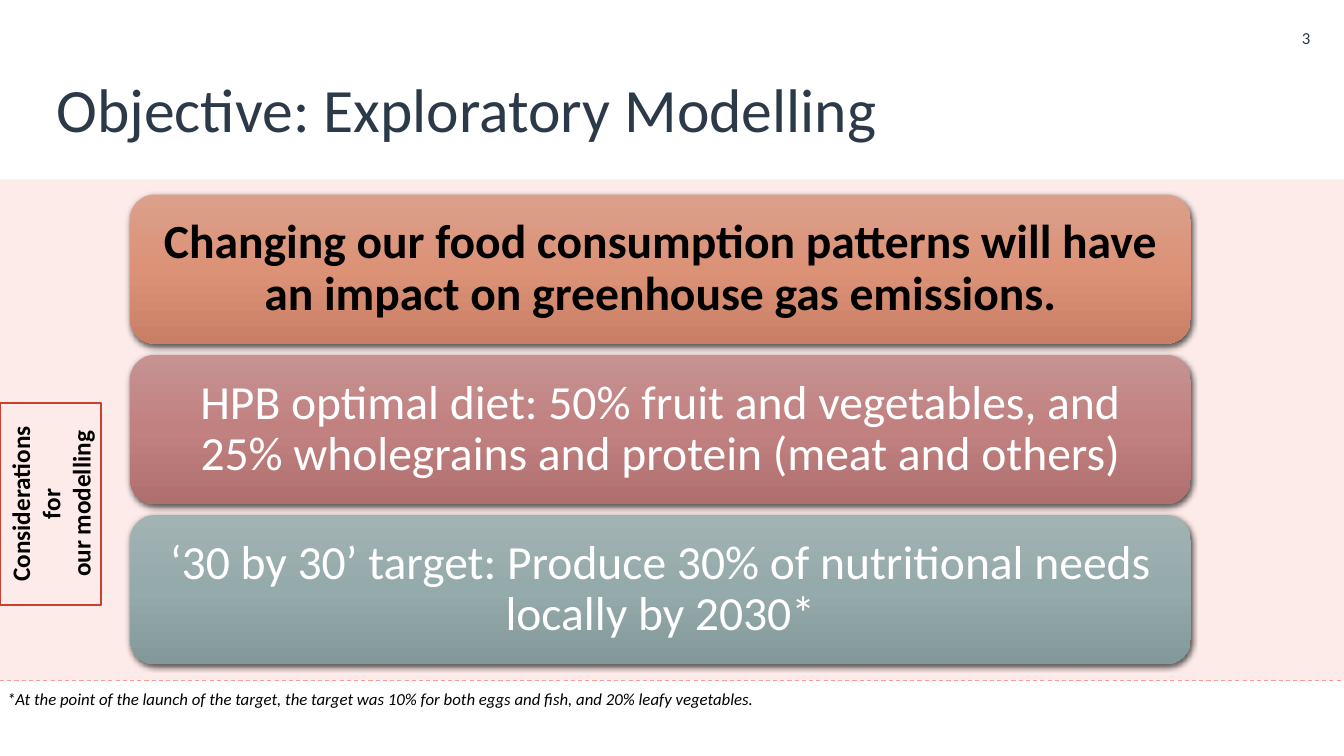
import copy

import pptx
import pptx.dml.color
import pptx.enum.dml
import pptx.enum.shapes
import pptx.enum.text
import pptx.oxml
import pptx.oxml.ns
import pptx.util

Inches, Pt = pptx.util.Inches, pptx.util.Pt
ALIGN, ANCHOR = pptx.enum.text.PP_ALIGN, pptx.enum.text.MSO_ANCHOR
SHAPE = pptx.enum.shapes.MSO_SHAPE
COLORS = {
    "navy": "2C3948", "black": "000000", "white": "FFFFFF",
    "band": "FDEBE9", "dash": "F49D90", "frame": "C8402E",
}
WIDTH, HEIGHT = 13.33, 7.5
BAND_TOP, BAND_BOTTOM = 1.78, 6.75


def rgb(name):
    return pptx.dml.color.RGBColor.from_string(COLORS.get(name, name))


def write(shape, text, size, color, align, anchor, margins=(0.1, 0.05), bold=False, italic=False):
    """Fill the shape with formatted text; margins are horizontal, vertical."""
    frame = shape.text_frame
    frame.word_wrap = True
    frame.auto_size = pptx.enum.text.MSO_AUTO_SIZE.NONE
    frame.vertical_anchor = anchor
    frame.margin_left = frame.margin_right = Inches(margins[0])
    frame.margin_top = frame.margin_bottom = Inches(margins[1])
    frame.text = text
    for paragraph in frame.paragraphs:
        paragraph.alignment = align
        for run in paragraph.runs:
            run.font.name = "Calibri"
            run.font.size = Pt(size)
            run.font.bold, run.font.italic = bold, italic
            run.font.color.rgb = rgb(color)


presentation = pptx.Presentation()
presentation.slide_width, presentation.slide_height = Inches(WIDTH), Inches(HEIGHT)
slide = presentation.slides.add_slide(presentation.slide_layouts[5])
shapes = slide.shapes

# Pink band and its dashed lower edge
band = shapes.add_shape(SHAPE.RECTANGLE, 0, Inches(BAND_TOP), Inches(WIDTH), Inches(BAND_BOTTOM - BAND_TOP))
band.shadow.inherit = False
band.fill.solid()
band.fill.fore_color.rgb = rgb("band")
band.line.fill.background()

edge = shapes.add_connector(
    pptx.enum.shapes.MSO_CONNECTOR.STRAIGHT, 0, Inches(BAND_BOTTOM), Inches(WIDTH), Inches(BAND_BOTTOM))
edge.line.color.rgb = rgb("dash")
edge.line.width = Pt(0.75)
edge.line.dash_style = pptx.enum.dml.MSO_LINE.DASH
edge._element.spPr.append(pptx.oxml.parse_xml(f"<a:effectLst {pptx.oxml.ns.nsdecls('a')}/>"))

# Title and page number
title = shapes.title
title.left, title.top, title.width, title.height = map(Inches, (0.46, 0.59, 11.62, 0.91))
write(title, "Objective: Exploratory Modelling", 44, "navy", ALIGN.LEFT, ANCHOR.BOTTOM)
title.text_frame.paragraphs[0].line_spacing = 0.9

page_number = shapes.add_textbox(Inches(WIDTH - 0.75), 0, Inches(0.75), Inches(0.75))
write(page_number, "3", 12, "navy", ALIGN.CENTER, ANCHOR.MIDDLE)

# Three stacked statement cards
CARD_LEFT, CARD_TOP, CARD_WIDTH, CARD_HEIGHT, CARD_PITCH = 1.29, 1.93, 10.52, 1.48, 1.59
cards = [
    ("Changing our food consumption patterns will have an impact on greenhouse gas emissions.",
     "black", True, ("DBA08C", "DB9277", "C87F65")),
    ("HPB optimal diet: 50% fruit and vegetables, and 25% wholegrains and protein (meat and others)",
     "white", False, ("C69292", "C28181", "B06F6F")),
    ("‘30 by 30’ target: Produce 30% of nutritional needs locally by 2030*",
     "white", False, ("A2B3B3", "95AAAB", "839899")),
]
for row, (text, text_color, bold, gradient) in enumerate(cards):
    card = shapes.add_shape(
        SHAPE.ROUNDED_RECTANGLE, Inches(CARD_LEFT), Inches(CARD_TOP + row * CARD_PITCH),
        Inches(CARD_WIDTH), Inches(CARD_HEIGHT))
    card.line.fill.background()
    card.fill.gradient()
    card.fill.gradient_angle = 270
    stop_list = card._element.spPr.find(".//" + pptx.oxml.ns.qn("a:gsLst"))
    stop_list.append(copy.deepcopy(stop_list[-1]))
    for index, (stop, color) in enumerate(zip(card.fill.gradient_stops, gradient)):
        stop.position = index / 2
        stop.color.rgb = rgb(color)
    card.shadow.inherit = False
    effects = card._element.spPr.find(pptx.oxml.ns.qn("a:effectLst"))
    effects.append(pptx.oxml.parse_xml(
        f'<a:outerShdw {pptx.oxml.ns.nsdecls("a")} blurRad="{Pt(4.5)}" dist="{Pt(1.5)}" dir="5400000" '
        'algn="ctr" rotWithShape="0"><a:srgbClr val="000000"><a:alpha val="63000"/></a:srgbClr></a:outerShdw>'))
    write(card, text, 34, text_color, ALIGN.CENTER, ANCHOR.MIDDLE, (0.21, 0.21), bold)
    card.text_frame.paragraphs[0].line_spacing = 0.9

# Footnote
footnote = shapes.add_textbox(0, Inches(6.78), Inches(7.69), Inches(0.3))
write(footnote, "*At the point of the launch of the target, the target was 10% for both eggs and fish, "
      "and 20% leafy vegetables.", 12, "black", ALIGN.LEFT, ANCHOR.TOP, (0.07, 0.05), italic=True)

# Hand-drawn frame: Bézier segments as (control, control, end)
start = (0.46, 6.49)
segments = [
    ((0.46, 6.12), (0.46, 6.07), (0.46, 5.73)),
    ((0.47, 5.39), (0.46, 5.16), (0.46, 4.97)),
    ((0.46, 4.78), (0.47, 4.47), (0.46, 4.33)),
    ((0.45, 4.19), (0.43, 3.78), (0.46, 3.57)),
    ((0.78, 3.59), (0.98, 3.56), (1.17, 3.57)),
    ((1.14, 3.76), (1.15, 4.03), (1.17, 4.24)),
    ((1.19, 4.46), (1.18, 4.72), (1.17, 4.89)),
    ((1.16, 5.05), (1.15, 5.29), (1.17, 5.62)),
    ((1.19, 5.94), (1.13, 6.06), (1.17, 6.49)),
    ((1.02, 6.47), (0.8, 6.51), (0.46, 6.49)),
]
STEPS = 10
outline, current = [], start
for first, second, end in segments:
    for step in range(1, STEPS + 1):
        t = step / STEPS
        outline.append(tuple(
            (1 - t) ** 3 * a + 3 * (1 - t) ** 2 * t * b + 3 * (1 - t) * t ** 2 * c + t ** 3 * d
            for a, b, c, d in zip(current, first, second, end)))
    current = end
builder = shapes.build_freeform(*start, scale=Inches(1))
builder.add_line_segments(outline, close=True)
considerations = builder.convert_to_shape()
considerations.shadow.inherit = False
considerations.fill.background()
considerations.line.color.rgb = rgb("frame")
considerations.line.width = Pt(1.5)
write(considerations, "Considerations for\nour modelling", 18, "black", ALIGN.CENTER, ANCHOR.MIDDLE,
      (0.05, 0.1), bold=True)
considerations.text_frame._txBody.bodyPr.set("vert", "vert270")

presentation.save("out.pptx")
